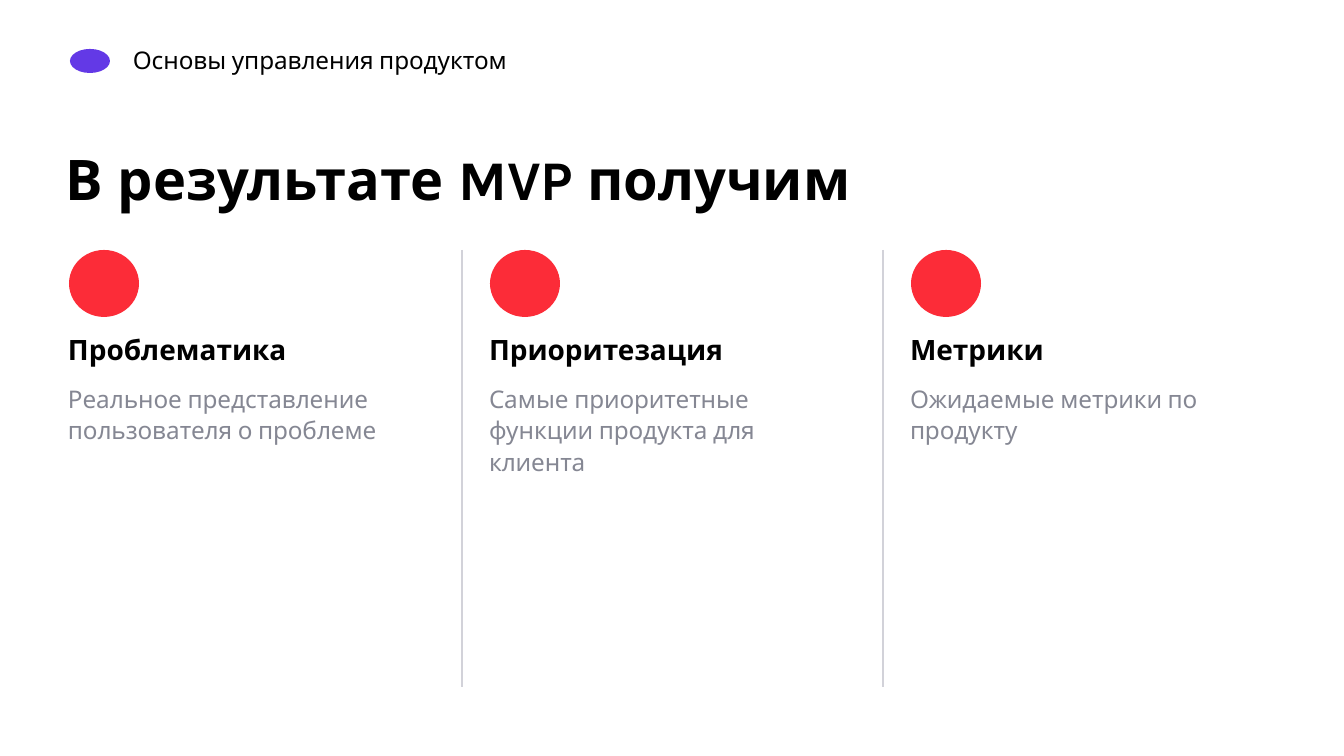
from lxml import etree
from pptx import Presentation
from pptx import util as u
from pptx.dml.color import RGBColor
from pptx.enum import shapes as kinds
from pptx.oxml.ns import qn

COURSE = "Основы управления продуктом"
HEADLINE = "В результате MVP получим"
# heading, description, text width, text height
COLUMNS = [
    ("Проблематика", "Реальное представление пользователя о проблеме", 362, 171),
    ("Приоритезация", "Самые приоритетные функции продукта для клиента", 362, 231),
    ("Метрики", "Ожидаемые метрики по продукту", 324, 200),
]

FONT = "Karla"
BLACK, GREY, RED, PURPLE, RULE = "000000", "858793", "FC2C38", "6339E6", "D2D2D9"

FIRST_LEFT, PITCH = 68, 421
COLUMN_TOP, COLUMN_BOTTOM = 250, 687
TEXT_TOP = 332
DIVIDER_GAP = 27


def px(length):
    return u.Emu(round(length * 914400 / 134.4))


def color(hex_string):
    return RGBColor.from_string(hex_string)


def add_text(frame, content, size, fill=BLACK, bold=False, spacing=None, before=0):
    """Fill the frame's empty first paragraph, or append a new one."""
    paragraph = frame.paragraphs[0]
    if paragraph.runs:
        paragraph = frame.add_paragraph()
    paragraph.space_before = u.Pt(before)
    if spacing:
        paragraph.line_spacing = spacing
    run = paragraph.add_run()
    run.text = content
    run.font.name = FONT
    run.font.size = u.Pt(size)
    run.font.bold = bold
    run.font.color.rgb = color(fill)


def add_frame(slide, left, top, width, height, side=0, upper=1, lower=0):
    frame = slide.shapes.add_textbox(px(left), px(top), px(width), px(height)).text_frame
    frame.word_wrap = True
    frame.margin_left = frame.margin_right = px(side)
    frame.margin_top, frame.margin_bottom = px(upper), px(lower)
    return frame


def add_oval(slide, left, top, width, height, fill):
    oval = slide.shapes.add_shape(
        kinds.MSO_SHAPE.OVAL, px(left), px(top), px(width), px(height))
    oval.shadow.inherit = False
    oval.fill.solid()
    oval.fill.fore_color.rgb = color(fill)
    oval.line.fill.background()


def add_divider(slide, x):
    divider = slide.shapes.add_connector(
        kinds.MSO_CONNECTOR.STRAIGHT, px(x), px(COLUMN_TOP), px(x), px(COLUMN_BOTTOM))
    divider.line.color.rgb = color(RULE)
    divider.line.width = u.Pt(0.82)
    etree.SubElement(divider._element.spPr, qn("a:effectLst"))


def main():
    deck = Presentation()
    deck.slide_width, deck.slide_height = px(1344), px(756)
    slide = deck.slides.add_slide(deck.slide_layouts[6])

    add_oval(slide, 70, 49, 40, 24, PURPLE)
    header = add_frame(slide, 127, 39, 794, 34, side=6, upper=6, lower=6)
    add_text(header, COURSE, 13, spacing=1.01)
    title = add_frame(slide, 66, 144, 1120, 66)
    add_text(title, HEADLINE, 30, bold=True)

    for index, (heading, description, width, height) in enumerate(COLUMNS):
        left = FIRST_LEFT + index * PITCH
        if index:
            add_divider(slide, left - DIVIDER_GAP)
        add_oval(slide, left + 1, COLUMN_TOP, 70, 67, RED)
        frame = add_frame(slide, left, TEXT_TOP, width, height)
        add_text(frame, heading, 15, bold=True)
        add_text(frame, description, 13, fill=GREY, spacing=1.08, before=8)

    deck.save("out.pptx")


if __name__ == "__main__":
    main()
